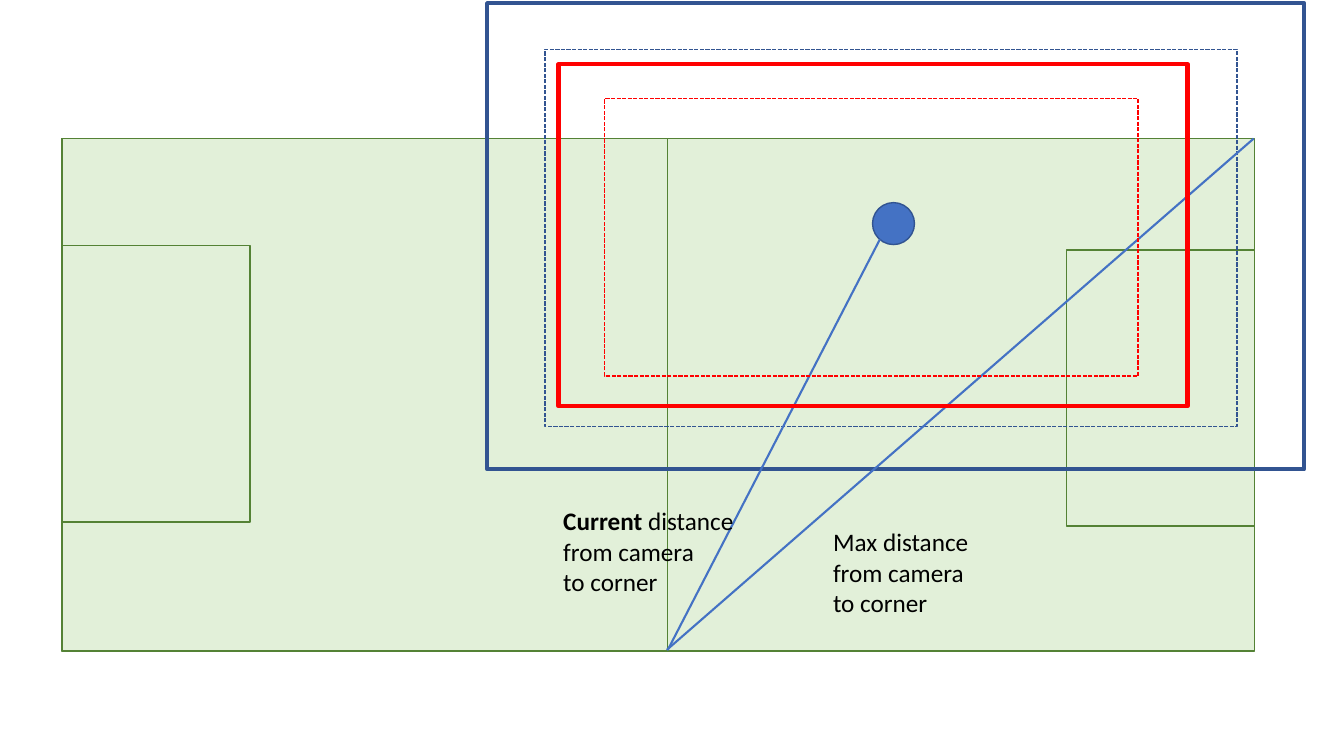
"""Build a slide of a pitch with camera view frames and distances to the corner."""
from lxml import etree
from pptx import Presentation
from pptx.dml.color import RGBColor
from pptx.enum.dml import MSO_LINE
from pptx.enum.shapes import MSO_CONNECTOR, MSO_SHAPE
from pptx.enum.text import MSO_AUTO_SIZE
from pptx.oxml.ns import qn
from pptx.util import Pt

PX = 9525
RECT, OVAL = MSO_SHAPE.RECTANGLE, MSO_SHAPE.OVAL
STRAIGHT = MSO_CONNECTOR.STRAIGHT
DASH = MSO_LINE.SQUARE_DOT
FIT_SHAPE = MSO_AUTO_SIZE.SHAPE_TO_FIT_TEXT
GRASS = RGBColor(0xE2, 0xF0, 0xD9)
GREEN = RGBColor(0x54, 0x82, 0x35)
BLUE = RGBColor(0x44, 0x72, 0xC4)
NAVY = RGBColor(0x32, 0x54, 0x91)
RED = RGBColor(0xFF, 0x00, 0x00)
BLACK = RGBColor(0x00, 0x00, 0x00)

prs = Presentation()
prs.slide_width, prs.slide_height = 1280 * PX, 720 * PX
slide = prs.slides.add_slide(prs.slide_layouts[6])


def add_outline(box, color, kind=RECT, fill=None, weight=1, dash=None):
    shape = slide.shapes.add_shape(kind, *(v * PX for v in box))
    shape.shadow.inherit = False
    if fill is None:
        shape.fill.background()
    else:
        shape.fill.solid()
        shape.fill.fore_color.rgb = fill
    shape.line.color.rgb = color
    shape.line.width = Pt(weight)
    if dash is not None:
        shape.line.dash_style = dash


def add_label(box, lines, size=18, font="Calibri", color=BLACK):
    label = slide.shapes.add_textbox(*(v * PX for v in box))
    frame = label.text_frame
    frame.word_wrap = False
    frame.auto_size = FIT_SHAPE
    for index, line in enumerate(lines):
        paragraph = frame.add_paragraph() if index else frame.paragraphs[0]
        for text, bold in line:
            run = paragraph.add_run()
            run.text = text
            run.font.name = font
            run.font.size = Pt(size)
            run.font.bold = bold
            run.font.color.rgb = color


pitch = (59, 132, 1136, 488)
left_half = (59, 132, 577, 488)
left_box = (59, 234, 179, 263)
right_box = (1016, 238, 179, 263)
for area in (pitch, left_half, left_box, right_box):
    add_outline(area, GREEN, fill=GRASS)

add_outline((831, 193, 40, 40), NAVY, kind=OVAL, fill=BLUE)

add_outline((464, 3, 778, 444), NAVY, weight=3)
add_outline((519, 47, 659, 359), NAVY, dash=DASH)

current_distance = (636, 619, 838, 228)
max_distance = (635, 619, 1194, 132)
for ends in (current_distance, max_distance):
    distance = slide.shapes.add_connector(STRAIGHT, *(v * PX for v in ends))
    distance.line.color.rgb = BLUE
    distance.line.width = Pt(1.5)
    etree.SubElement(distance._element.spPr, qn("a:effectLst"))

to_corner = [[("from camera", False)], [("to corner", False)]]
add_label((784, 497, 156, 97), [[("Max distance", False)]] + to_corner)
add_label((527, 477, 187, 97), [[("Current", True), (" distance", False)]] + to_corner)

add_outline((532, 61, 599, 326), RED, weight=3)
add_outline((576, 94, 508, 264), RED, dash=DASH)

prs.save("out.pptx")
